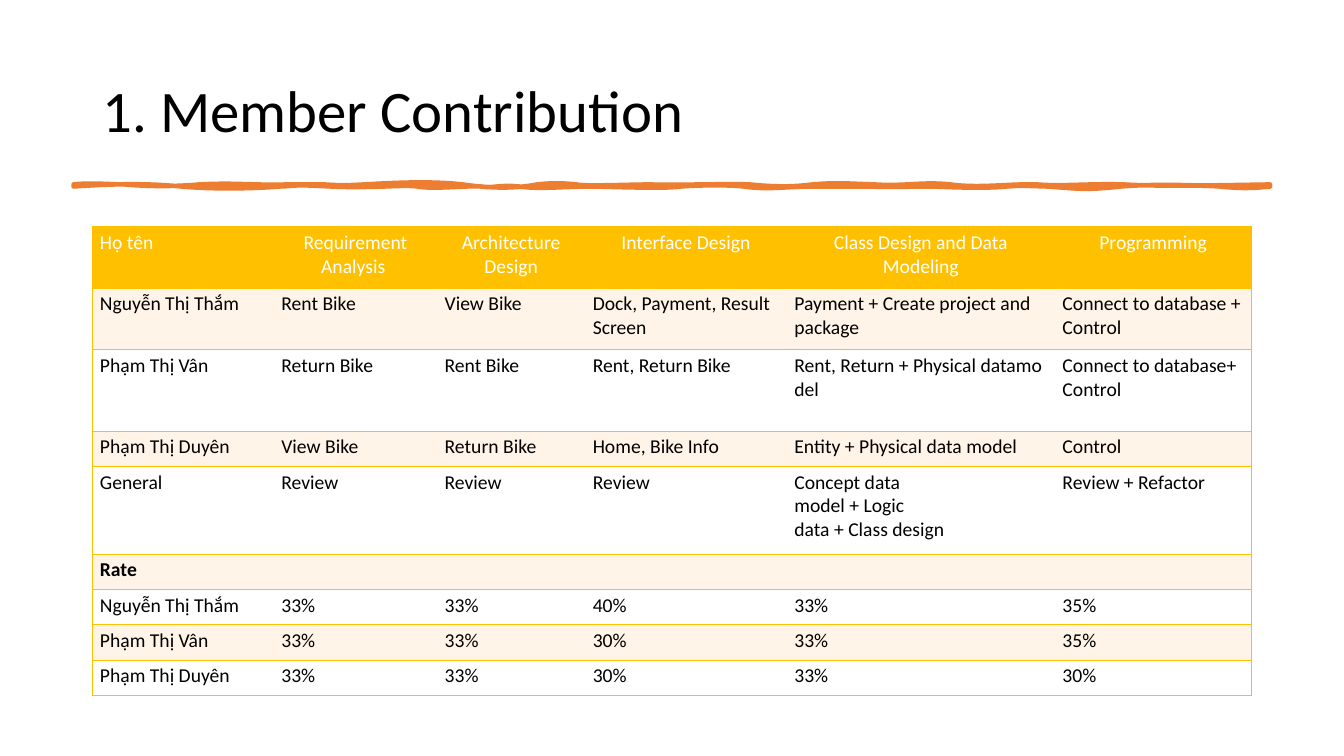
from lxml.etree import SubElement
from pptx import Presentation
from pptx.dml.color import RGBColor
from pptx.enum.text import MSO_ANCHOR, PP_ALIGN
from pptx.oxml.ns import qn
from pptx.util import Inches, Pt

COLORS = {"ink": "000000", "white": "FFFFFF", "gold": "FFC000",
          "cream": "FFF4E7", "orange": "ED7D31"}
CELL = Inches(0.01)
NBSP = chr(160)
NO_GRID_STYLE = "{2D5ABB26-0587-4C30-8999-92F81FD0307C}"


def unbroken(text):
    return text.replace(" ", NBSP)


COLUMNS = [180, 162, 147, 200, 266, 195]
ROWS = [61, 61, 81, 35, 87, 35, 35, 35, 35]
CONTRIBUTIONS = [
    ["Họ tên" + NBSP, "Requirement Analysis" + NBSP, "Architecture Design",
     "Interface Design", "Class Design and Data Modeling", "Programming"],
    ["Nguyễn Thị Thắm", "Rent Bike", "View Bike", "Dock, Payment, Result Screen",
     "Payment + Create project and package", "Connect to database + Control"],
    ["Phạm Thị Vân", "Return Bike", "Rent Bike", "Rent, Return Bike",
     unbroken("Rent, Return + Physical datamodel"),
     unbroken("Connect to database+ Control")],
    ["Phạm Thị Duyên", "View Bike", "Return Bike", "Home, Bike" + NBSP + "Info",
     unbroken("Entity + Physical data model"), "Control"],
    ["General", "Review", "Review", "Review",
     unbroken("Concept data \nmodel + Logic \n") + "data + Class design",
     "Review + Refactor"],
    ["Rate", "", "", "", "", ""],
    ["Nguyễn Thị Thắm", "33%", "33%", "40%", "33%", "35%"],
    ["Phạm Thị Vân", "33%", "33%", "30%", "33%", "35%"],
    ["Phạm" + NBSP + "Thị Duyên", "33%", "33%", "30%", "33%", "30%"],
]

STROKE_START = (73, 183)
STROKE_CURVES = [
    (89, 181, 111, 183, 124, 183), (136, 184, 162, 186, 198, 183),
    (234, 181, 251, 184, 284, 183), (317, 183, 307, 183, 322, 183),
    (338, 184, 342, 184, 361, 183), (380, 182, 424, 179, 459, 183),
    (494, 188, 517, 186, 533, 183), (549, 181, 563, 182, 572, 183),
    (581, 185, 625, 183, 646, 183), (667, 184, 723, 182, 744, 183),
    (765, 185, 782, 186, 806, 183), (830, 181, 838, 182, 868, 183),
    (899, 185, 914, 180, 943, 183), (972, 187, 1002, 182, 1029, 183),
    (1055, 185, 1078, 182, 1115, 183), (1151, 185, 1199, 184, 1260, 183),
    (1260, 184, 1260, 184, 1260, 185), (1242, 187, 1230, 187, 1210, 185),
    (1190, 184, 1149, 182, 1112, 185), (1075, 189, 1070, 187, 1038, 185),
    (1005, 184, 1018, 184, 999, 185), (980, 187, 948, 186, 925, 185),
    (902, 185, 884, 186, 863, 185), (841, 185, 828, 185, 800, 185),
    (773, 186, 757, 188, 738, 185), (719, 183, 688, 184, 676, 185),
    (663, 187, 624, 186, 590, 185), (555, 185, 537, 188, 515, 185),
    (494, 183, 491, 187, 477, 185), (463, 184, 430, 188, 414, 185),
    (399, 183, 371, 187, 328, 185), (286, 183, 303, 184, 278, 185),
    (253, 187, 213, 188, 180, 185), (147, 182, 118, 182, 73, 185),
    (73, 184, 73, 184, 73, 183),
]


class Deck:
    def __init__(self, font):
        self.font = font
        self.prs = Presentation()
        self.prs.slide_width = Inches(40 / 3)
        self.prs.slide_height = Inches(7.5)
        self.s = self.prs.slides.add_slide(self.prs.slide_layouts[6])

    def color(self, name):
        return RGBColor.from_string(COLORS[name])

    def grid(self, *cells):
        return [round(n * CELL) for n in cells]

    def style(self, tf, size, color, bold=False, align=PP_ALIGN.LEFT):
        for p in tf.paragraphs:
            p.alignment = align
            p.font.size = Pt(size)
            for r in p.runs:
                r.font.name = self.font
                r.font.size = Pt(size)
                r.font.bold = bold
                r.font.color.rgb = self.color(color)

    def title(self, text, *box):
        tf = self.s.shapes.add_textbox(*self.grid(*box)).text_frame
        tf.word_wrap = True
        tf.vertical_anchor = MSO_ANCHOR.MIDDLE
        tf.text = text
        tf.paragraphs[0].line_spacing = 0.9
        self.style(tf, 42, "ink")

    def brush_stroke(self, start, curves):
        builder = self.s.shapes.build_freeform(*start, scale=CELL)
        builder.add_line_segments([curve[4:] for curve in curves], close=True)
        sp = builder.convert_to_shape()
        for segment, curve in zip(list(sp._element.iter(qn("a:lnTo"))), curves):
            segment.tag = qn("a:cubicBezTo")
            segment.remove(segment[0])
            for x, y in zip(curve[::2], curve[1::2]):
                SubElement(segment, qn("a:pt"), x=str(x - start[0]), y=str(y - start[1]))
        sp.shadow.inherit = False
        sp.fill.solid()
        sp.fill.fore_color.rgb = self.color("orange")
        sp.line.color.rgb = self.color("orange")
        sp.line.width = Pt(3.25)

    def border(self, cell, sides):
        tc_pr = cell._tc.get_or_add_tcPr()
        for i, side in enumerate(sides):
            ln = SubElement(tc_pr, qn(f"a:{side}"), w=str(Pt(1)))
            fill = SubElement(ln, qn("a:solidFill"))
            SubElement(fill, qn("a:srgbClr"), val=COLORS["gold"])
            tc_pr.insert(i, ln)

    def table(self, data, left, top, columns, rows):
        box = self.grid(left, top, sum(columns), sum(rows))
        table = self.s.shapes.add_table(len(rows), len(columns), *box).table
        table._tbl.tblPr.find(qn("a:tableStyleId")).text = NO_GRID_STYLE
        for column, width in zip(table.columns, self.grid(*columns)):
            column.width = width
        for row, height in zip(table.rows, self.grid(*rows)):
            row.height = height
        for i, texts in enumerate(data):
            for j, text in enumerate(texts):
                self.table_cell(table.cell(i, j), text, i, j, len(columns) - 1)

    def table_cell(self, cell, text, i, j, last):
        header = i == 0
        cell.margin_left, cell.margin_right = self.grid(7.5, 7.5)
        cell.margin_top, cell.margin_bottom = self.grid(3.75, 3.75)
        cell.fill.solid()
        fill = "gold" if header else "cream" if i % 2 else "white"
        cell.fill.fore_color.rgb = self.color(fill)
        cell.text_frame.text = text
        self.style(cell.text_frame, 14, "white" if header else "ink", text == "Rate",
                   PP_ALIGN.CENTER if header and j else PP_ALIGN.LEFT)
        sides = ["lnL"] * (j == 0) + ["lnR"] * (j == last) + ["lnT", "lnB"]
        self.border(cell, sides)


def main():
    deck = Deck("Calibri")
    deck.title("1. Member Contribution", 91.67, 40, 1150, 145)
    deck.brush_stroke(STROKE_START, STROKE_CURVES)
    deck.table(CONTRIBUTIONS, 91.67, 225, COLUMNS, ROWS)
    deck.prs.save("out.pptx")


if __name__ == "__main__":
    main()
